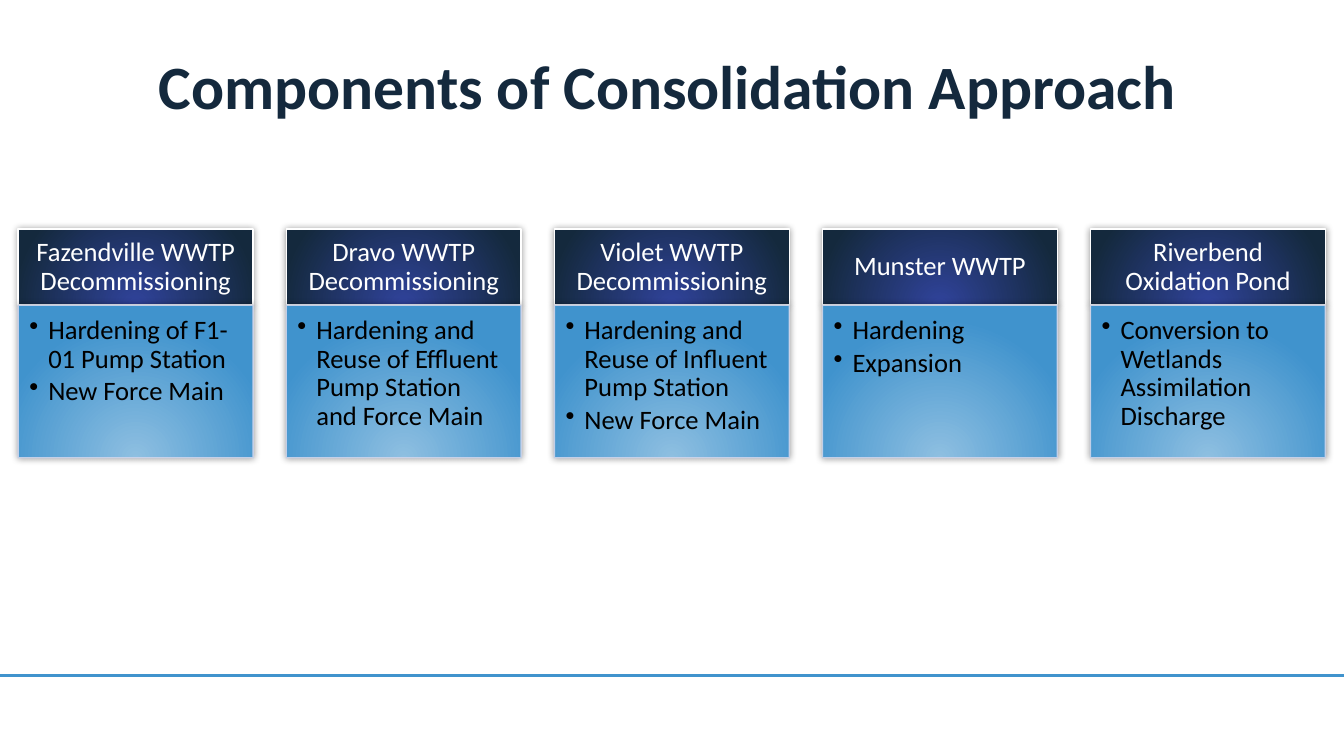
import lxml.etree
import pptx
import pptx.dml.color
import pptx.enum.shapes
import pptx.enum.text
import pptx.oxml
import pptx.oxml.ns
import pptx.util

Pt = pptx.util.Pt
ALIGN = pptx.enum.text.PP_ALIGN
ANCHOR = pptx.enum.text.MSO_ANCHOR
qn = pptx.oxml.ns.qn

COLORS = {
    "navy": "14293D", "indigo": "30439B", "blue": "4093CD", "sky": "8EBFE1",
    "edge": "CFD5EA", "white": "FFFFFF", "black": "000000",
}
COMPONENTS = [
    ("Fazendville WWTP Decommissioning",
     ["Hardening of F1-01 Pump Station", "New Force Main"]),
    ("Dravo WWTP Decommissioning",
     ["Hardening and Reuse of Effluent Pump Station and Force Main"]),
    ("Violet WWTP Decommissioning",
     ["Hardening and Reuse of Influent Pump Station", "New Force Main"]),
    ("Munster WWTP", ["Hardening", "Expansion"]),
    ("Riverbend Oxidation Pond",
     ["Conversion to Wetlands Assimilation Discharge"]),
]
LEFT, STEP, WIDTH = 13, 191.5, 167.8
HEADER_TOP, HEADER_HEIGHT, BODY_HEIGHT = 163.5, 54.5, 109


def rgb(name):
    return pptx.dml.color.RGBColor.from_string(COLORS[name])


def add_panel(left, top, height, center, rim, edge, insets, lines, text_color):
    """Add a glowing, shadowed rectangle with one paragraph per line."""
    panel = slide.shapes.add_shape(
        pptx.enum.shapes.MSO_SHAPE.RECTANGLE,
        Pt(left), Pt(top), Pt(WIDTH), Pt(height))
    panel.fill.gradient()
    for stop, color in zip(panel.fill.gradient_stops, (center, rim)):
        stop.color.rgb = rgb(color)
    linear = panel._element.spPr.find(".//" + qn("a:lin"))
    glow = lxml.etree.Element(qn("a:path"), path="circle")
    lxml.etree.SubElement(glow, qn("a:fillToRect"),
                          l="50000", t="130000", r="50000", b="-30000")
    linear.getparent().replace(linear, glow)
    panel.line.color.rgb = rgb(edge)
    panel.line.width = Pt(1)

    panel.shadow.inherit = False
    effects = panel._element.spPr.find(qn("a:effectLst"))
    shadow = lxml.etree.SubElement(effects, qn("a:outerShdw"),
                                   blurRad=str(Pt(5)), dist="0", dir="0")
    tint = lxml.etree.SubElement(shadow, qn("a:srgbClr"), val=COLORS["black"])
    lxml.etree.SubElement(tint, qn("a:alpha"), val="40000")

    frame = panel.text_frame
    frame.word_wrap = True
    (frame.margin_left, frame.margin_top,
     frame.margin_right, frame.margin_bottom) = map(Pt, insets)
    frame.text = "\n".join(lines)
    for paragraph in frame.paragraphs:
        paragraph.line_spacing = 0.9
        paragraph.font.name = "Calibri"
        paragraph.font.size = Pt(19)
        paragraph.font.color.rgb = rgb(text_color)
    return panel


presentation = pptx.Presentation()
presentation.slide_width = Pt(960)
presentation.slide_height = Pt(540)
slide = presentation.slides.add_slide(presentation.slide_layouts[5])

footer_rule = slide.shapes.add_connector(
    pptx.enum.shapes.MSO_CONNECTOR.STRAIGHT, 0, Pt(482.4), Pt(960), Pt(482.4))
footer_rule.line.color.rgb = rgb("blue")
footer_rule.line.width = Pt(2.5)
lxml.etree.SubElement(footer_rule._element.spPr, qn("a:effectLst"))

title = slide.shapes.title
title.left, title.top, title.width, title.height = map(Pt, (26.6, 28.8, 901.4, 69.8))
title.text_frame.text = "Components of Consolidation Approach"
title.text_frame.vertical_anchor = ANCHOR.MIDDLE
heading = title.text_frame.paragraphs[0]
heading.alignment = ALIGN.CENTER
heading.line_spacing = 0.9
heading.font.name = "Calibri"
heading.font.size = Pt(44)
heading.font.bold = True
heading.font.color.rgb = rgb("navy")

for column, (facility, works) in enumerate(COMPONENTS):
    left = LEFT + column * STEP
    header = add_panel(left, HEADER_TOP, HEADER_HEIGHT, "indigo", "navy", "white",
                       (10.8, 5.8, 10.8, 5.8), [facility], "white")
    header.text_frame.vertical_anchor = ANCHOR.MIDDLE
    header.text_frame.paragraphs[0].alignment = ALIGN.CENTER

    body = add_panel(left, HEADER_TOP + HEADER_HEIGHT, BODY_HEIGHT, "sky", "blue",
                     "edge", (8, 8, 10.8, 12), works, "black")
    edge_color = body._element.spPr.find(qn("a:ln")).find(".//" + qn("a:srgbClr"))
    lxml.etree.SubElement(edge_color, qn("a:alpha"), val="90000")
    body.text_frame.vertical_anchor = ANCHOR.TOP
    for work in body.text_frame.paragraphs:
        work.alignment = ALIGN.LEFT
        work.space_after = Pt(2.85)
        properties = work._p.get_or_add_pPr()
        properties.set("marL", str(Pt(13.5)))
        properties.set("indent", str(-Pt(13.5)))
        bullet = lxml.etree.Element(qn("a:buChar"), char="•")
        properties.find(qn("a:defRPr")).addprevious(bullet)

presentation.save("out.pptx")
